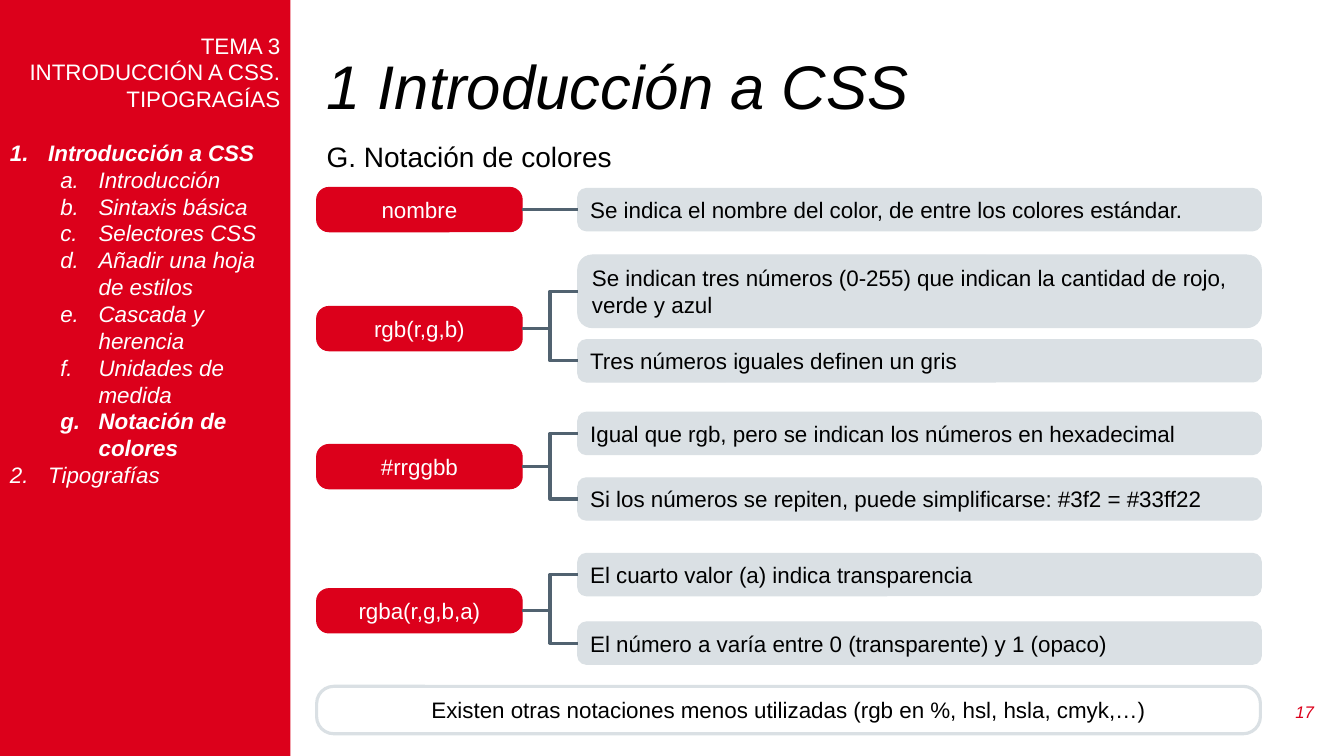
"""Build the slide about colour notations in CSS."""
from lxml import etree
from pptx import Presentation
from pptx import util as u
from pptx.dml.color import RGBColor
from pptx.enum import shapes, text
from pptx.oxml import ns

RED = RGBColor(0xDC, 0x00, 0x1B)
GREY = RGBColor(0xDA, 0xE0, 0xE4)
SLATE = RGBColor(0x51, 0x62, 0x70)
WHITE = RGBColor(0xFF, 0xFF, 0xFF)
BLACK = RGBColor(0x00, 0x00, 0x00)

W, H = u.Inches(13.33), u.Inches(7.5)
MAIN_X, NOTE_X = 23.56, 42.99
KEY_W, NOTE_W, FOOT_W = 15.3, 50.86, 70.22
KEY_H, NOTE_H, TALL_H = 5.87, 5.6, 9.6

HEADING = ["TEMA 3", "INTRODUCCIÓN A CSS. TIPOGRAGÍAS"]
OUTLINE = [
    (0, "Introducción a CSS", True),
    (1, "Introducción", False),
    (1, "Sintaxis básica", False),
    (1, "Selectores CSS", False),
    (1, "Añadir una hoja de estilos", False),
    (1, "Cascada y herencia", False),
    (1, "Unidades de medida", False),
    (1, "Notación de colores", True),
    (0, "Tipografías", False),
]
NOTATIONS = [
    ("nombre", 27.73, [
        ("Se indica el nombre del color, de entre los colores estándar.", 27.73, NOTE_H)]),
    ("rgb(r,g,b)", 43.47, [
        ("Se indican tres números (0-255) que indican la cantidad de rojo, verde y azul",
         38.53, TALL_H),
        ("Tres números iguales definen un gris", 47.73, NOTE_H)]),
    ("#rrggbb", 61.73, [
        ("Igual que rgb, pero se indican los números en hexadecimal", 57.33, NOTE_H),
        ("Si los números se repiten, puede simplificarse: #3f2 = #33ff22", 66, NOTE_H)]),
    ("rgba(r,g,b,a)", 80.8, [
        ("El cuarto valor (a) indica transparencia", 76, NOTE_H),
        ("El número a varía entre 0 (transparente) y 1 (opaco)", 85.07, NOTE_H)]),
]


def area(x, middle, w, h):
    """Turn percentages of the slide into left, top, width and height."""
    return (int(W * x / 100), int(H * (middle - h / 2) / 100),
            int(W * w / 100), int(H * h / 100))


def add_text(p, words, color, size=16, **formats):
    """Add a run to a paragraph and apply its font formats."""
    r = p.add_run()
    r.text = words
    r.font.color.rgb = color
    for name, value in {"name": "Arial", "size": u.Pt(size), **formats}.items():
        setattr(r.font, name, value)


def add_label(s, place, words, color, size, align=text.PP_ALIGN.LEFT, **formats):
    """Add a text box with one paragraph and return the paragraph."""
    tf = s.shapes.add_textbox(*area(*place)).text_frame
    tf.word_wrap = True
    tf.vertical_anchor = text.MSO_ANCHOR.MIDDLE
    p = tf.paragraphs[0]
    p.alignment = align
    add_text(p, words, color, size, **formats)
    return p


def add_box(s, place, fill, line, kind=shapes.MSO_SHAPE.ROUNDED_RECTANGLE, width=0.75):
    """Add a flat shape with the given fill and outline."""
    sp = s.shapes.add_shape(kind, *area(*place))
    sp.shadow.inherit = False
    if fill is None:
        sp.fill.background()
    else:
        sp.fill.solid()
        sp.fill.fore_color.rgb = fill
    if line is None:
        sp.line.fill.background()
    else:
        sp.line.color.rgb = line
        sp.line.width = u.Pt(width)
    return sp


def add_pill(s, place, words, fill, line, color, align, corner, width=0.75):
    """Add a rounded box with one paragraph of text."""
    sp = add_box(s, place, fill, line, width=width)
    sp.adjustments[0] = corner
    tf = sp.text_frame
    tf.word_wrap = True
    tf.vertical_anchor = text.MSO_ANCHOR.MIDDLE
    p = tf.paragraphs[0]
    p.alignment = align
    add_text(p, words, color)
    return sp


def add_elbow(s, key, note):
    """Join the right side of a key to the left side of a note."""
    line = s.shapes.add_connector(shapes.MSO_CONNECTOR.ELBOW, 0, 0, 0, 0)
    line.begin_connect(key, 3)
    line.end_connect(note, 1)
    line.line.color.rgb = SLATE
    line.line.width = u.Pt(2.25)
    etree.SubElement(line._element.spPr, ns.qn("a:effectLst"))


def number_item(p, level):
    """Give a paragraph automatic numbering and a hanging indent."""
    p.level = level
    pPr = p._p.get_or_add_pPr()
    pPr.set("marL", str(u.Inches(0.38 + 0.5 * level)))
    pPr.set("indent", str(u.Inches(-0.38)))
    bullet = etree.SubElement(pPr, ns.qn("a:buAutoNum"))
    bullet.set("type", ("arabicPeriod", "alphaLcPeriod")[level])


def add_sidebar(s):
    """Add the red column with the heading and the outline."""
    sp = add_box(s, (0, 50, 21.6, 100), RED, None, shapes.MSO_SHAPE.RECTANGLE)
    tf = sp.text_frame
    tf.word_wrap = True
    tf.vertical_anchor = text.MSO_ANCHOR.TOP
    tf.margin_top = int(H * 0.042)
    p = tf.paragraphs[0]
    for words in HEADING:
        p.alignment = text.PP_ALIGN.RIGHT
        add_text(p, words, WHITE)
        p = tf.add_paragraph()
    p.space_before = u.Pt(19)
    for i, (level, words, bold) in enumerate(OUTLINE):
        p = tf.add_paragraph() if i else p
        p.alignment = text.PP_ALIGN.LEFT
        number_item(p, level)
        add_text(p, words, WHITE, bold=bold, italic=True)


def add_notation(s, name, middle, notes):
    """Add a notation key with its notes and connectors."""
    key = add_pill(s, (MAIN_X, middle, KEY_W, KEY_H), name, RED, RED, WHITE,
                   text.PP_ALIGN.CENTER, 0.28)
    for words, note_middle, height in notes:
        note = add_pill(s, (NOTE_X, note_middle, NOTE_W, height), words, GREY, GREY,
                        BLACK, text.PP_ALIGN.LEFT, 0.2)
        add_elbow(s, key, note)


def main():
    """Build and save the slide."""
    prs = Presentation()
    prs.slide_width, prs.slide_height = W, H
    s = prs.slides.add_slide(prs.slide_layouts[6])
    title = add_label(s, (MAIN_X, 11.87, 74.94, 10.4), "1 Introducción a CSS",
                      BLACK, 44, italic=True)
    title.line_spacing = 0.9
    add_sidebar(s)
    add_label(s, (94.67, 94.13, 3.83, 5.33), "17", RED, 12,
              text.PP_ALIGN.RIGHT, italic=True)
    add_label(s, (MAIN_X, 20.67, 55.96, 5.87), "G. Notación de colores", BLACK, 20)
    for notation in NOTATIONS:
        add_notation(s, *notation)
    add_pill(s, (MAIN_X, 93.93, FOOT_W, 6.27),
             "Existen otras notaciones menos utilizadas (rgb en %, hsl, hsla, cmyk,…)",
             None, GREY, BLACK, text.PP_ALIGN.CENTER, 0.36, 2.25)
    prs.save("out.pptx")


if __name__ == "__main__":
    main()
